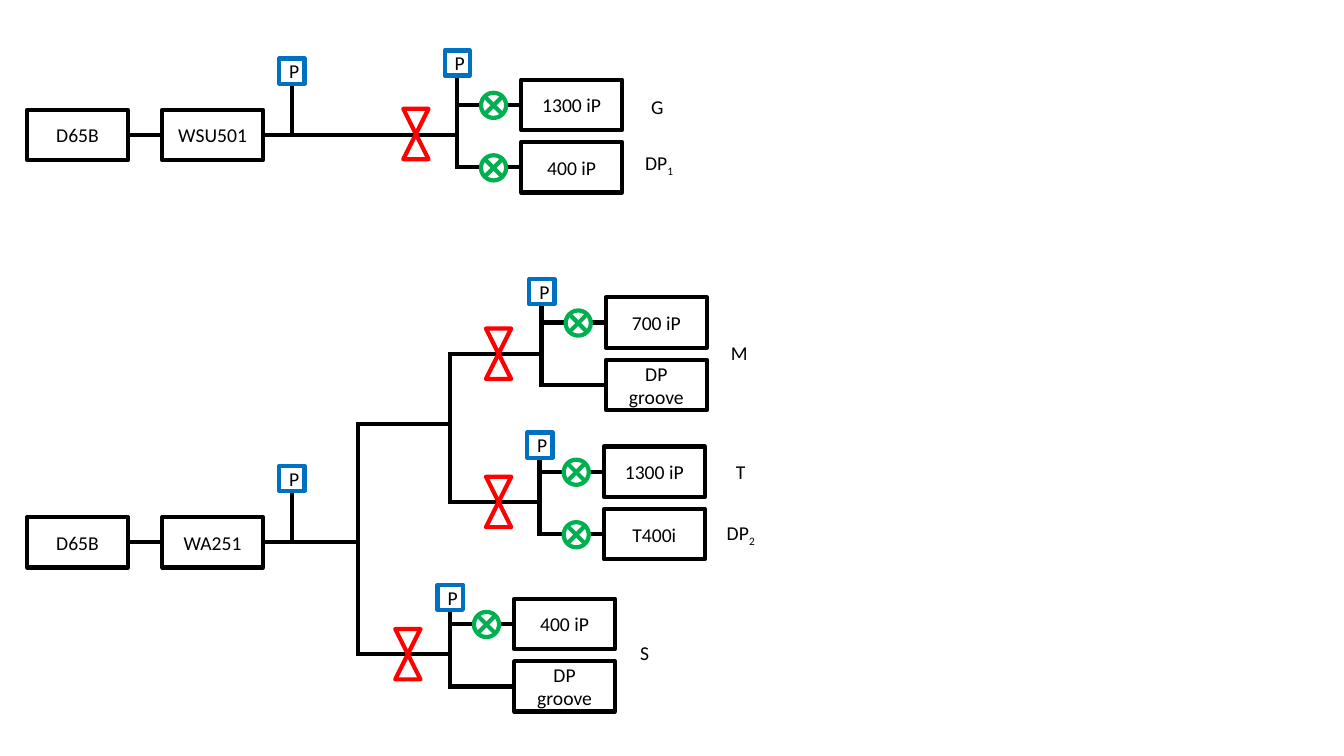
from lxml.etree import SubElement
from pptx import Presentation
from pptx.dml.color import RGBColor
from pptx.enum.shapes import MSO_CONNECTOR, MSO_SHAPE as SHP
from pptx.enum.text import MSO_ANCHOR, MSO_AUTO_SIZE, PP_ALIGN
from pptx.oxml.ns import qn
from pptx.util import Inches, Pt

BLACK, BLUE, GREEN, RED = (RGBColor.from_string(c) for c in ("000000", "0070C0", "00B050", "FF0000"))


def add_pipe(grp, x1, y1, x2, y2):
    c = grp.shapes.add_connector(MSO_CONNECTOR.STRAIGHT, Inches(x1), Inches(y1), Inches(x2), Inches(y2))
    c.line.color.rgb = BLACK
    c.line.width = Pt(3)
    SubElement(c._element.spPr, qn("a:effectLst"))


def add_part(grp, kind, x, y, w, h, color, text=""):
    sp = grp.shapes.add_shape(kind, Inches(x), Inches(y), Inches(w), Inches(h))
    sp.shadow.inherit = False
    sp.fill.background()
    sp.line.color.rgb = color
    sp.line.width = Pt(3)
    if text:
        tf = sp.text_frame
        tf.word_wrap = True
        tf.vertical_anchor = MSO_ANCHOR.MIDDLE
        p = tf.paragraphs[0]
        p.text = text
        p.alignment = PP_ALIGN.CENTER
        p.font.name = "Calibri"
        p.font.size = Pt(14)
        p.font.color.rgb = BLACK


prs = Presentation()
prs.slide_width = Inches(13.33)
prs.slide_height = Inches(7.5)
s = prs.slides.add_slide(prs.slide_layouts[6])

upper = s.shapes.add_group_shape()
lower = s.shapes.add_group_shape()

for grp, y, pump, end in [(upper, 1.34, "WSU501", 4.53), (lower, 5.38, "WA251", 3.53)]:
    add_pipe(grp, 1.27, y, 1.61, y)
    add_pipe(grp, 2.61, y, end, y)
    add_pipe(grp, 2.9, y - 0.5, 2.9, y)
    add_part(grp, SHP.RECTANGLE, 0.27, y - 0.25, 1, 0.5, BLACK, "D65B")
    add_part(grp, SHP.RECTANGLE, 1.61, y - 0.25, 1, 0.5, BLACK, pump)
    add_part(grp, SHP.RECTANGLE, 2.77, y - 0.76, 0.25, 0.25, BLUE, "P")

for x1, y1, x2, y2 in [
    (3.55, 4.19, 3.55, 6.49),
    (3.53, 4.21, 4.46, 4.21),
    (4.46, 3.49, 4.46, 5),
    (4.44, 3.51, 5.37, 3.51),
    (4.44, 4.98, 5.35, 4.98),
    (3.53, 6.49, 4.46, 6.49),
]:
    add_pipe(lower, x1, y1, x2, y2)

branches = [
    (upper, 4.53, 1.04, 0.5, 4, 1.08, "1300 iP", "400 iP"),
    (lower, 5.37, 3.2, 2.77, 4.82, 3.26, "700 iP", "DP groove"),
    (lower, 5.35, 4.68, 4.29, 4.82, 4.73, "1300 iP", "T400i"),
    (lower, 4.46, 6.19, 5.8, 3.92, 6.24, "400 iP", "DP groove"),
]
for grp, bus, y, gauge_y, valve_x, valve_y, first, second in branches:
    add_pipe(grp, bus, gauge_y + 0.25, bus, y + 0.62)
    for row_y, text in [(y, first), (y + 0.62, second)]:
        if text == "DP groove":
            add_pipe(grp, bus - 0.02, row_y, bus + 0.64, row_y)
        else:
            add_pipe(grp, bus - 0.02, row_y, bus + 0.24, row_y)
            add_pipe(grp, bus + 0.49, row_y, bus + 0.64, row_y)
            add_part(grp, SHP.FLOWCHART_SUMMING_JUNCTION, bus + 0.24, row_y - 0.12, 0.25, 0.25, GREEN)
        add_part(grp, SHP.RECTANGLE, bus + 0.64, row_y - 0.25, 1, 0.5, BLACK, text)
    add_part(grp, SHP.RECTANGLE, bus - 0.12, gauge_y, 0.25, 0.25, BLUE, "P")
    add_part(grp, SHP.FLOWCHART_COLLATE, valve_x, valve_y, 0.25, 0.5, RED)

labels = [
    (upper, 6.36, 0.89, 0.33, "G", ""),
    (upper, 6.3, 1.45, 0.6, "DP", "1"),
    (lower, 7.15, 3.33, 0.37, "M", ""),
    (lower, 7.2, 4.51, 0.3, "T", ""),
    (lower, 7.11, 5.12, 0.6, "DP", "2"),
    (lower, 6.25, 6.31, 0.29, "S", ""),
]
for grp, x, y, w, text, index in labels:
    tf = grp.shapes.add_textbox(Inches(x), Inches(y), Inches(w), Inches(0.34)).text_frame
    tf.word_wrap = bool(index)
    tf.auto_size = MSO_AUTO_SIZE.SHAPE_TO_FIT_TEXT
    p = tf.paragraphs[0]
    p.font.name = "Calibri"
    p.font.size = Pt(14)
    p.font.color.rgb = BLACK
    p.add_run().text = text
    if index:
        r = p.add_run()
        r.text = index
        r.font._element.set("baseline", "-25000")

prs.save("out.pptx")
